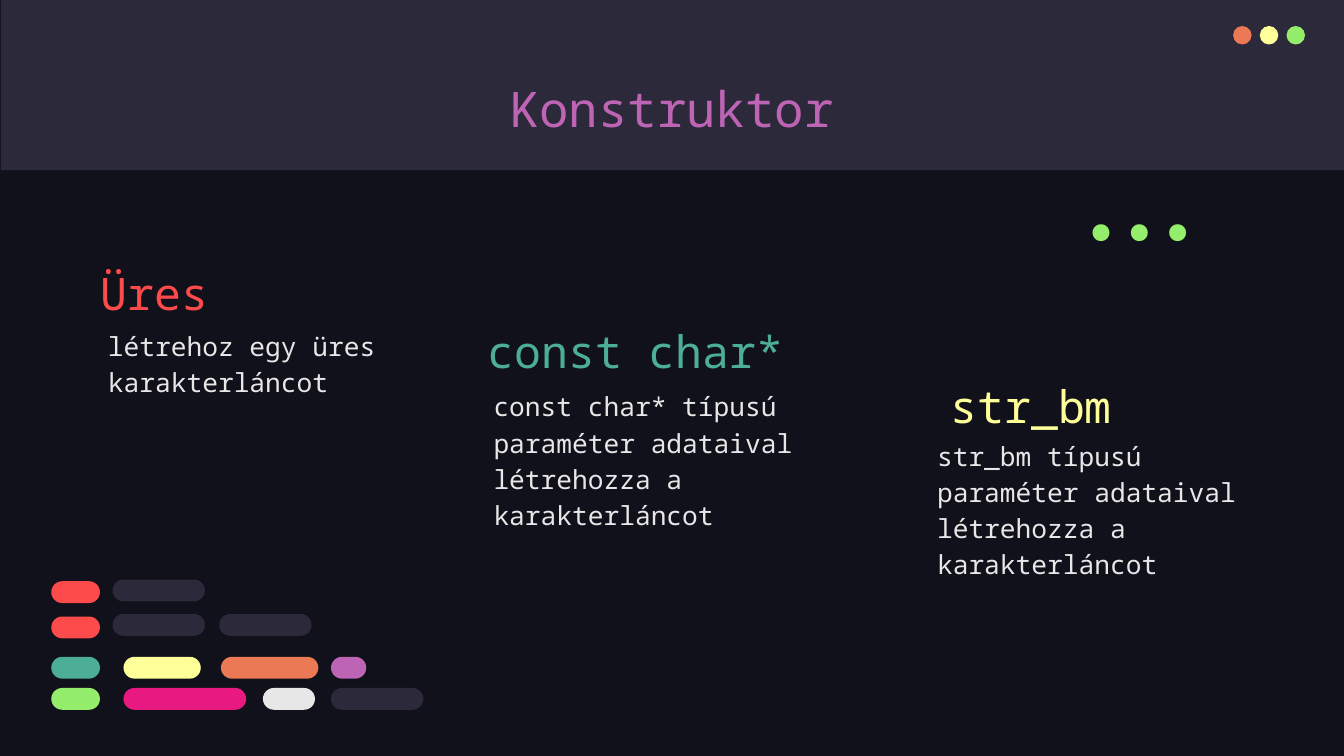
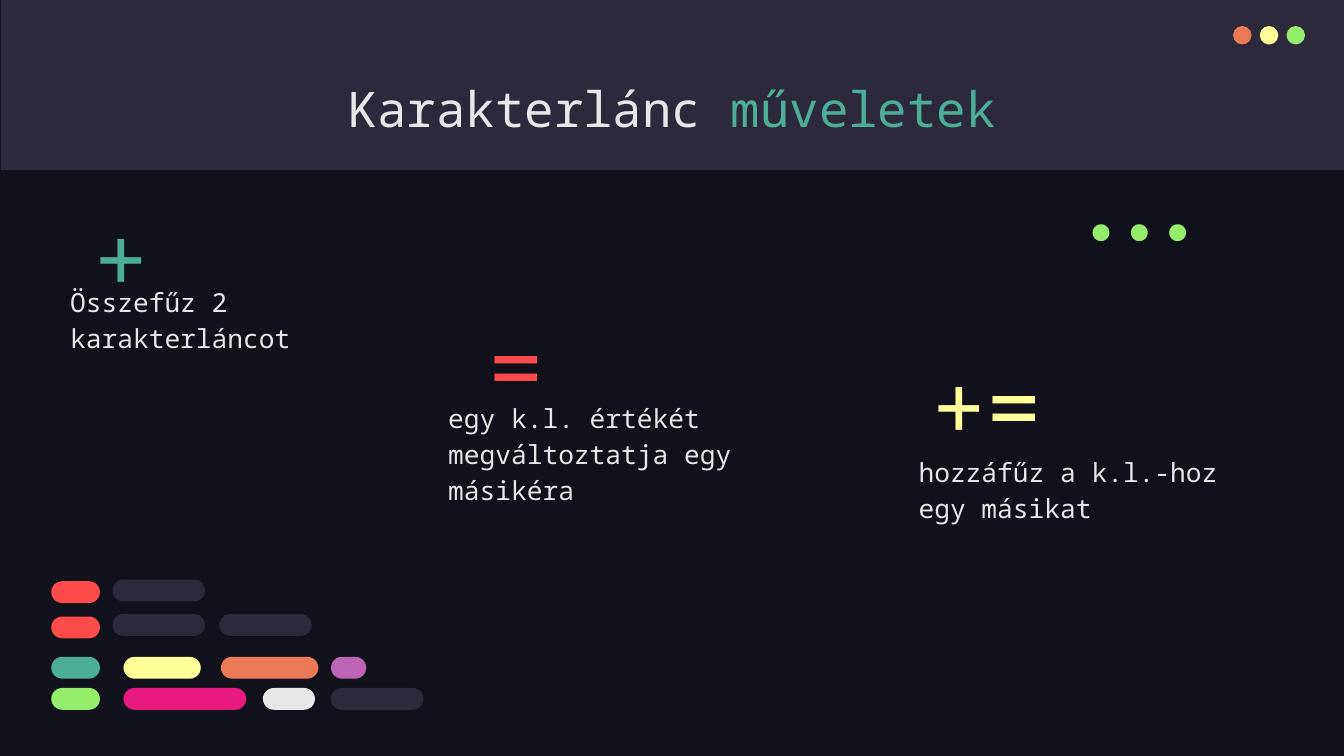
from dataclasses import dataclass

from pptx import Presentation, util as u
from pptx.dml.color import RGBColor
from pptx.enum import shapes, text

COLUMNS, ROWS = 160, 90
WIDTH, HEIGHT = u.Inches(13.33), u.Inches(7.5)
MONO, CODE = "Noto Sans Mono", "Fira Code"
COLORS = {
    "night": "10111A", "slate": "2C293A", "light": "E7E7E7", "red": "FD4A4A",
    "teal": "4CAE97", "yellow": "FFFF99", "orange": "EC7955",
    "purple": "BD64B5", "green": "94EE6B", "pink": "E81A81",
}


@dataclass
class Box:
    left: float
    top: float
    width: float
    height: float

    def inner(self, left, top, width, height):
        return Box(self.left + left, self.top + top, width, height)

    def place(self):
        return (round(WIDTH * self.left / COLUMNS), round(HEIGHT * self.top / ROWS),
                round(WIDTH * self.width / COLUMNS), round(HEIGHT * self.height / ROWS))


def color(name):
    return RGBColor.from_string(COLORS[name])


def add_filled(parent, preset, box, fill):
    shape = parent.add_shape(preset, *box.place())
    shape.shadow.inherit = False
    shape.fill.solid()
    shape.fill.fore_color.rgb = color(fill)
    shape.line.fill.background()
    return shape


def add_text(slide, box, runs, *, size, font=MONO, spacing=1.0,
             align=text.PP_ALIGN.LEFT, anchor=text.MSO_ANCHOR.TOP):
    frame = slide.shapes.add_textbox(*box.place()).text_frame
    frame.word_wrap = True
    frame.auto_size = text.MSO_AUTO_SIZE.NONE
    frame.vertical_anchor = anchor
    frame.margin_left = frame.margin_right = u.Inches(0.13)
    frame.margin_top = frame.margin_bottom = u.Inches(0.13)
    paragraph = frame.paragraphs[0]
    paragraph.alignment = align
    paragraph.line_spacing = spacing
    for words, tint in runs:
        run = paragraph.add_run()
        run.text = words
        run.font.name = font
        run.font.size = u.Pt(size)
        run.font.color.rgb = color(tint)


def add_header(slide, box, title):
    add_filled(slide.shapes, shapes.MSO_SHAPE.RECTANGLE, box, "slate")
    window_dots = slide.shapes.add_group_shape().shapes
    for index, tint in enumerate(("orange", "yellow", "green")):
        dot = box.inner(146.7 + 3.18 * index, 3.1, 2.2, 2.2)
        add_filled(window_dots, shapes.MSO_SHAPE.OVAL, dot, tint)
    add_text(slide, box.inner(12.5, 7.8, 134.8, 10.1), title, size=35,
             align=text.PP_ALIGN.CENTER)


def add_entry(slide, box, heading, tint, body, shift, size):
    add_text(slide, box.inner(0, 0, box.width, 11.5), [(heading, tint)],
             size=size, spacing=1.15, anchor=text.MSO_ANCHOR.BOTTOM)
    add_text(slide, box.inner(*shift, 41.5, 23.9), [(body, "light")],
             size=18.7, spacing=1.15)


def add_code_pills(slide, box):
    rows = [
        (0, [(7.3, 11, "slate")]),
        (0.2, [(0, 5.8, "red")]),
        (4.1, [(7.3, 11, "slate"), (20, 11, "slate")]),
        (4.4, [(0, 5.8, "red")]),
        (9.2, [(0, 5.8, "teal"), (8.6, 9.2, "yellow"),
               (20.2, 11.6, "orange"), (33.3, 4.2, "purple")]),
        (12.9, [(0, 5.8, "green"), (8.6, 14.6, "pink"),
                (25.2, 6.2, "light"), (33.3, 11, "slate")]),
    ]
    pills = slide.shapes.add_group_shape().shapes
    for top, row in rows:
        for left, width, tint in row:
            pill = add_filled(pills, shapes.MSO_SHAPE.ROUNDED_RECTANGLE,
                              box.inner(left, top, width, 2.6), tint)
            pill.adjustments[0] = 0.5


def add_ellipsis(slide, box):
    add_text(slide, box, [("...", "green")], size=66.7, font=CODE,
             align=text.PP_ALIGN.RIGHT, anchor=text.MSO_ANCHOR.BOTTOM)


def add_definition_slide(deck, title, entries, heading_size):
    slide = deck.slides.add_slide(deck.slide_layouts[6])
    slide.background.fill.solid()
    slide.background.fill.fore_color.rgb = color("night")
    add_header(slide, Box(0.1, 0, COLUMNS - 0.1, 20.25), title)
    for left, top, heading, tint, body, shift in entries:
        add_entry(slide, Box(left, top, 42.2, 35), heading, tint, body, shift,
                  heading_size)
    add_code_pills(slide, Box(6.1, 69, 44.3, 15.5))
    add_ellipsis(slide, Box(122.2, 22.8, 25.3, 9.6))


def main():
    deck = Presentation()
    deck.slide_width, deck.slide_height = WIDTH, HEIGHT

    constructors = [
        (10.4, 28.1, "Üres", "red", "létrehoz egy üres karakterláncot", (0.9, 9.1)),
        (56.5, 35, "const char*", "teal",
         "const char* típusú paraméter adataival létrehozza a karakterláncot",
         (0.7, 9.4)),
        (111.6, 41.6, "str_bm", "yellow",
         "str_bm típusú paraméter adataival létrehozza a karakterláncot",
         (-1.6, 8.7)),
    ]
    add_definition_slide(deck, [("Konstruktor", "purple")], constructors, 32)

    operators = [
        (9.6, 27.2, "+", "teal", "Összefűz 2 karakterláncot", (-2.8, 4.8)),
        (56.6, 40.1, "=", "red", "egy k.l. értékét megváltoztatja egy másikéra",
         (-4.8, 5.7)),
        (109.3, 44.8, "+=", "yellow", "hozzáfűz a k.l.-hoz egy másikat", (-1.5, 7.4)),
    ]
    add_definition_slide(deck, [("Karakterlánc ", "light"), ("műveletek", "teal")],
                         operators, 66)

    deck.save("out.pptx")


if __name__ == "__main__":
    main()
